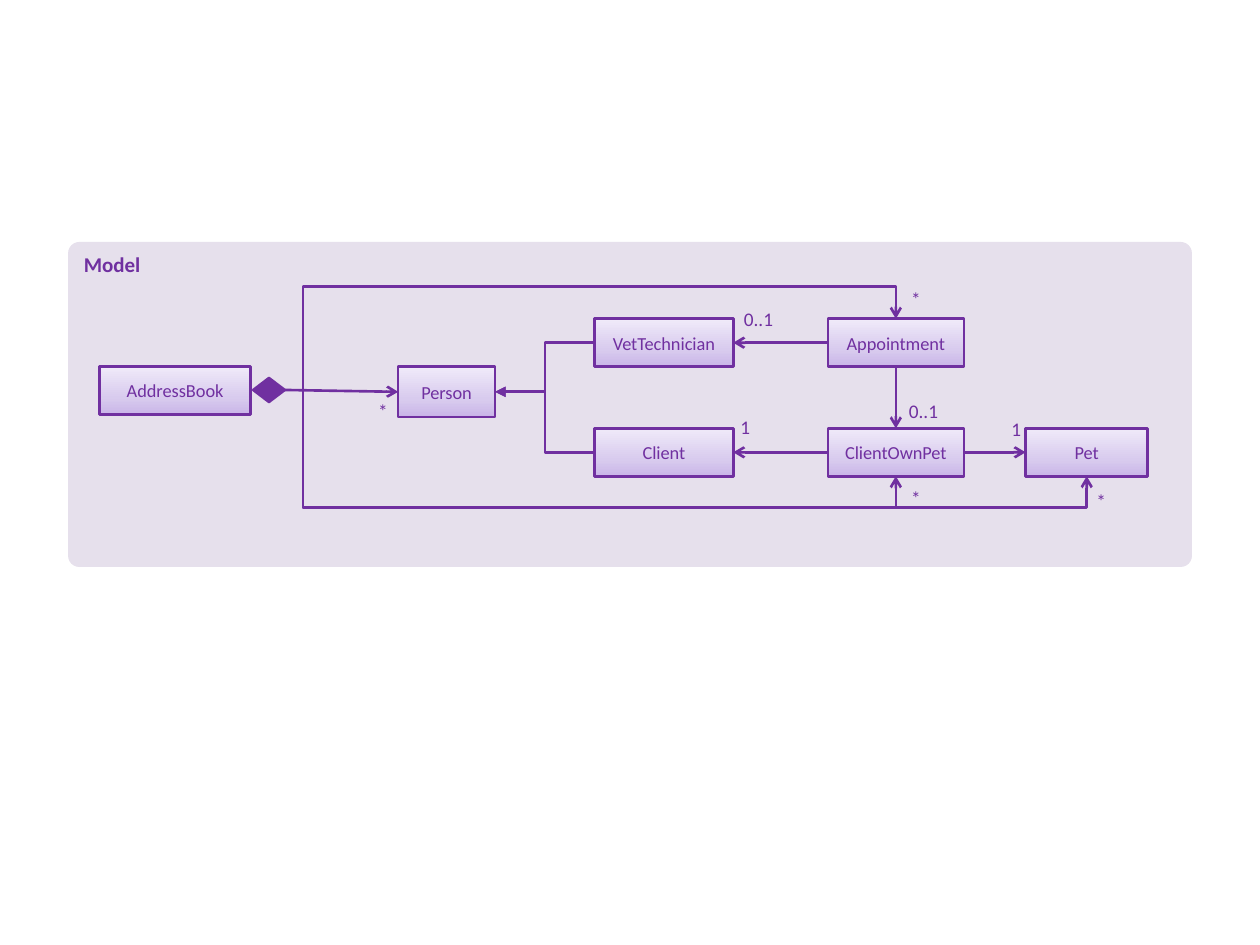
from copy import deepcopy
from lxml.etree import SubElement
from pptx import Presentation
from pptx.dml.color import RGBColor
from pptx.enum.shapes import MSO_CONNECTOR, MSO_SHAPE
from pptx.enum.text import MSO_ANCHOR, PP_ALIGN
from pptx.oxml.ns import qn
from pptx.util import Inches, Pt

COLORS = {"ink": "7030A0", "panel": "E6E0EC",
          "deep": "C9B5E8", "middle": "D8CBEE", "pale": "F0EAF9"}
INK = RGBColor.from_string(COLORS["ink"])
TOP, LEFT, BOTTOM, RIGHT = range(4)  # connection sites of a box

deck = Presentation()
deck.slide_width, deck.slide_height = Inches(10), Inches(7.5)
page = deck.slides.add_slide(deck.slide_layouts[6])

# Grid of 100 columns by 75 rows
column = deck.slide_width / 100
row = deck.slide_height / 75


def add_block(kind, x, y, w, h):
    """Add a shape, or a text box when kind is None, at grid units."""
    place = [int(v) for v in (x * column, y * row, w * column, h * row)]
    if kind is None:
        return page.shapes.add_textbox(*place)
    block = page.shapes.add_shape(kind, *place)
    block.shadow.inherit = False
    return block


def write(block, text, size, align, bold=False):
    block.text_frame.word_wrap = True
    para = block.text_frame.paragraphs[0]
    para.alignment = align
    span = para.add_run()
    span.text = text
    span.font.name = "Calibri"
    span.font.size = Pt(size)
    span.font.bold = bold
    span.font.color.rgb = INK


# Panel
panel = add_block(MSO_SHAPE.ROUNDED_RECTANGLE, 5.4, 19.2, 89.2, 25.8)
panel.adjustments[0] = 0.035
panel.fill.solid()
panel.fill.fore_color.rgb = RGBColor.from_string(COLORS["panel"])
panel.line.fill.background()
panel.text_frame.vertical_anchor = MSO_ANCHOR.TOP
write(panel, "Model", 12, PP_ALIGN.LEFT, bold=True)

# Class boxes: name, left, top, width, height
upper, center, lower = 25.3, 29.1, 34
nodes = {}
for name, x, y, w, h in [
    ("Person", 31.6, center, 7.7, 4),
    ("Appointment", 65.7, upper, 10.8, 3.8),
    ("Pet", 81.4, lower, 9.7, 3.8),
    ("Client", 47.2, lower, 11, 3.8),
    ("VetTechnician", 47.2, upper, 11, 3.8),
    ("ClientOwnPet", 65.7, lower, 10.8, 3.8),
    ("AddressBook", 7.9, center, 12, 3.8),
]:
    box = add_block(MSO_SHAPE.RECTANGLE, x, y, w, h)
    box.fill.gradient()
    box.fill.gradient_angle = 90
    stop_list = box.element.find(".//" + qn("a:gsLst"))
    stop_list.append(deepcopy(stop_list[0]))
    shades = [(0, "deep"), (0.35, "middle"), (1, "pale")]
    for stop, (position, shade) in zip(box.fill.gradient_stops, shades):
        stop.position = position
        stop.color.rgb = RGBColor.from_string(COLORS[shade])
    box.line.color.rgb = INK
    box.line.width = Pt(1.5)
    box.text_frame.vertical_anchor = MSO_ANCHOR.MIDDLE
    write(box, name, 10.5, PP_ALIGN.CENTER)
    nodes[name] = box

# Composition diamond
diamond = add_block(MSO_SHAPE.FLOWCHART_DECISION, 20.1, 30, 2.5, 1.9)
diamond.fill.solid()
diamond.fill.fore_color.rgb = INK
diamond.line.color.rgb = INK
diamond.line.width = Pt(1.5)
nodes["diamond"] = diamond

# Relations: start, site, finish, site, arrow end, arrow type, bends
for start, start_site, finish, finish_site, end, arrow, bends in [
    ("Client", LEFT, "Person", RIGHT, "tailEnd", "triangle", [0.5]),
    ("VetTechnician", LEFT, "Person", RIGHT, "tailEnd", "triangle", [0.5]),
    ("VetTechnician", RIGHT, "Appointment", LEFT, "headEnd", "arrow", []),
    ("Client", RIGHT, "ClientOwnPet", LEFT, "headEnd", "arrow", []),
    ("ClientOwnPet", TOP, "Appointment", BOTTOM, "headEnd", "arrow", []),
    ("Pet", LEFT, "ClientOwnPet", RIGHT, "headEnd", "arrow", []),
    ("diamond", RIGHT, "ClientOwnPet", BOTTOM, "tailEnd", "arrow", [0.03, 1.36]),
    ("diamond", RIGHT, "Appointment", TOP, "tailEnd", "arrow", [0.03, 1.45]),
    ("diamond", RIGHT, "Pet", BOTTOM, "tailEnd", "arrow", [0.023, 1.36]),
    ("diamond", RIGHT, "Person", LEFT, "tailEnd", "arrow", []),
]:
    kind = MSO_CONNECTOR.ELBOW if bends else MSO_CONNECTOR.STRAIGHT
    wire = page.shapes.add_connector(kind, 0, 0, 0, 0)
    wire.begin_connect(nodes[start], start_site)
    wire.end_connect(nodes[finish], finish_site)
    wire.line.color.rgb = INK
    wire.line.width = Pt(1.5)
    properties = wire.element.spPr
    SubElement(properties.find(qn("a:ln")), qn("a:" + end), type=arrow)
    SubElement(properties, qn("a:effectLst"))
    if bends:
        geometry = properties.find(qn("a:prstGeom"))
        geometry.set("prst", f"bentConnector{len(bends) + 2}")
        guides = geometry.find(qn("a:avLst"))
        for number, share in enumerate(bends, 1):
            SubElement(guides, qn("a:gd"), name=f"adj{number}",
                       fmla=f"val {round(share * 100000)}")

# Multiplicities: text, left, top, width, height
for text, x, y, w, h in [
    ("1", 58.1, 33, 2.1, 2),
    ("1", 79.6, 33.1, 2.1, 2),
    ("0..1", 58.2, 24.4, 4, 1.8),
    ("0..1", 71.3, 31.7, 4, 1.8),
    ("*", 70.7, 22.8, 4, 1.8),
    ("*", 70.7, 38.6, 4, 1.8),
    ("*", 85.4, 38.8, 4, 1.8),
    ("*", 28.4, 31.7, 4, 1.8),
]:
    label = add_block(None, x, y, w, h)
    frame = label.text_frame
    frame.margin_left = frame.margin_right = 0
    frame.margin_top = frame.margin_bottom = 0
    write(label, text, 11, PP_ALIGN.CENTER)

deck.save("out.pptx")
